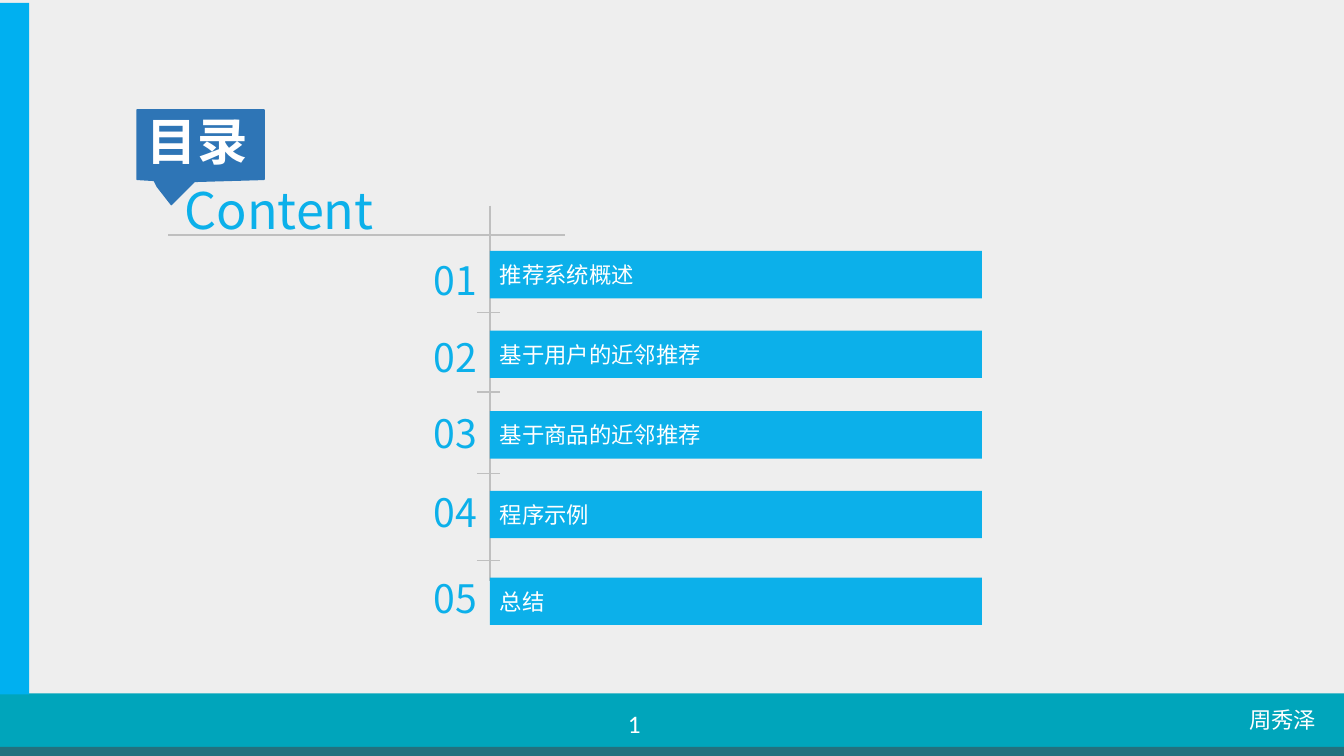
import pptx
import pptx.util
import pptx.dml.color
import pptx.enum.shapes
import pptx.enum.text
import pptx.oxml
import pptx.oxml.ns

Inches = pptx.util.Inches
RGBColor = pptx.dml.color.RGBColor
ALIGN = pptx.enum.text.PP_ALIGN
ANCHOR = pptx.enum.text.MSO_ANCHOR

BACKGROUND = RGBColor(0xEE, 0xEE, 0xEE)
TEAL = RGBColor(0x00, 0xA5, 0xBB)
DARK_TEAL = RGBColor(0x23, 0x71, 0x7E)
SIDE_BLUE = RGBColor(0x00, 0xB0, 0xF0)
BAR_BLUE = RGBColor(0x0C, 0xB0, 0xEA)
BADGE_BLUE = RGBColor(0x2E, 0x75, 0xB6)
GREY = RGBColor(0xBF, 0xBF, 0xBF)
WHITE = RGBColor(0xFF, 0xFF, 0xFF)

CJK_FONT = "Noto Sans CJK SC"
WIDTH, HEIGHT = 13.33, 7.5

# Title, then offsets of bar, number and the tick below from the agenda's top
AGENDA = [
    ("推荐系统概述", 0.45, 0.36, 1.06),
    ("基于用户的近邻推荐", 1.24, 1.12, 1.85),
    ("基于商品的近邻推荐", 2.04, 1.88, 2.66),
    ("程序示例", 2.83, 2.66, 3.52),
    ("总结", 3.69, 3.52, None),
]


def write(tf, text, size, color, font=CJK_FONT, bold=False):
    p = tf.paragraphs[0]
    r = p.add_run()
    r.text = text
    r.font.size = pptx.util.Pt(size)
    r.font.name = font
    r.font.bold = bold
    r.font.color.rgb = color
    ea = pptx.oxml.parse_xml(
        f'<a:ea {pptx.oxml.ns.nsdecls("a")} typeface="{font}"/>')
    r.font._element.find(pptx.oxml.ns.qn("a:latin")).addnext(ea)
    return p


def add_text(s, x, y, w, h, text, size, color, **style):
    sp = s.shapes.add_textbox(Inches(x), Inches(y), Inches(w), Inches(h))
    sp.text_frame.word_wrap = True
    return write(sp.text_frame, text, size, color, **style)


def add_bar(s, x, y, w, h, color):
    sp = s.shapes.add_shape(pptx.enum.shapes.MSO_SHAPE.RECTANGLE,
                            Inches(x), Inches(y), Inches(w), Inches(h))
    sp.shadow.inherit = False
    sp.fill.solid()
    sp.fill.fore_color.rgb = color
    sp.line.fill.background()
    return sp


def add_line(s, x1, y1, x2, y2):
    sp = s.shapes.add_connector(pptx.enum.shapes.MSO_CONNECTOR.STRAIGHT,
                                Inches(x1), Inches(y1), Inches(x2), Inches(y2))
    sp.line.color.rgb = GREY
    sp.line.width = pptx.util.Pt(1)
    sp._element.spPr.append(
        pptx.oxml.parse_xml(f'<a:effectLst {pptx.oxml.ns.nsdecls("a")}/>'))


def add_frame(s, w, h):
    """Side band, footer bands, author and page number."""
    footer = h - 0.62
    add_bar(s, 0, footer, w, 0.53, TEAL)
    add_bar(s, 0, h - 0.09, w, 0.09, DARK_TEAL)
    add_bar(s, 0, 0.03, 0.29, footer - 0.02, SIDE_BLUE)
    add_text(s, w - 1.04, footer + 0.08, 0.94, 0.37, "周秀泽", 16, WHITE)
    add_text(s, 6.13, footer + 0.1, 0.58, 0.4, "1", 18, WHITE, font="Calibri")


def add_heading(s, x, y):
    """Speech-bubble badge, subtitle and its underline."""
    add_text(s, x + 0.37, y + 0.64, 3.62, 0.59, "Content", 36, BAR_BLUE)
    add_line(s, x + 0.31, y + 1.24, x + 4.24, y + 1.24)

    outline = [(0, 0.69), (0.17, 0.7), (0.2, 0.76), (0.34, 0.94),
               (0.57, 0.71), (1.26, 0.69), (1.26, 0), (0, 0)]
    points = [(Inches(x + dx), Inches(y + dy)) for dx, dy in outline]
    builder = s.shapes.build_freeform(*points[0])
    builder.add_line_segments(points[1:], close=True)
    sp = builder.convert_to_shape()
    sp.shadow.inherit = False
    sp.fill.solid()
    sp.fill.fore_color.rgb = BADGE_BLUE
    sp.line.color.rgb = BADGE_BLUE
    sp.line.width = pptx.util.Pt(1)
    add_text(s, x, y - 0.05, 1.27, 0.71, "目录", 36, WHITE, bold=True)


def add_agenda(s, x, y, w, h):
    """Vertical axis with a number, a bar and a tick for each entry."""
    add_line(s, x, y, x, y + h)
    for i, (title, bar, number, tick) in enumerate(AGENDA, start=1):
        p = add_text(s, x - 1.06, y + number, 1.03, 0.66,
                     f"{i:02d}", 28, BAR_BLUE)
        p.alignment = ALIGN.RIGHT
        p.line_spacing = 1.2

        sp = add_bar(s, x, y + bar, w, 0.47, BAR_BLUE)
        sp.text_frame.vertical_anchor = ANCHOR.MIDDLE
        write(sp.text_frame, title, 16, WHITE).alignment = ALIGN.LEFT

        if tick is not None:
            add_line(s, x - 0.13, y + tick, x + 0.1, y + tick)


def main():
    prs = pptx.Presentation()
    prs.slide_width = Inches(WIDTH)
    prs.slide_height = Inches(HEIGHT)
    s = prs.slides.add_slide(prs.slide_layouts[6])
    s.background.fill.solid()
    s.background.fill.fore_color.rgb = BACKGROUND

    add_frame(s, WIDTH, HEIGHT)
    add_heading(s, 1.36, 1.09)
    add_agenda(s, 4.86, 2.04, 4.88, 3.72)
    prs.save("out.pptx")


if __name__ == "__main__":
    main()
